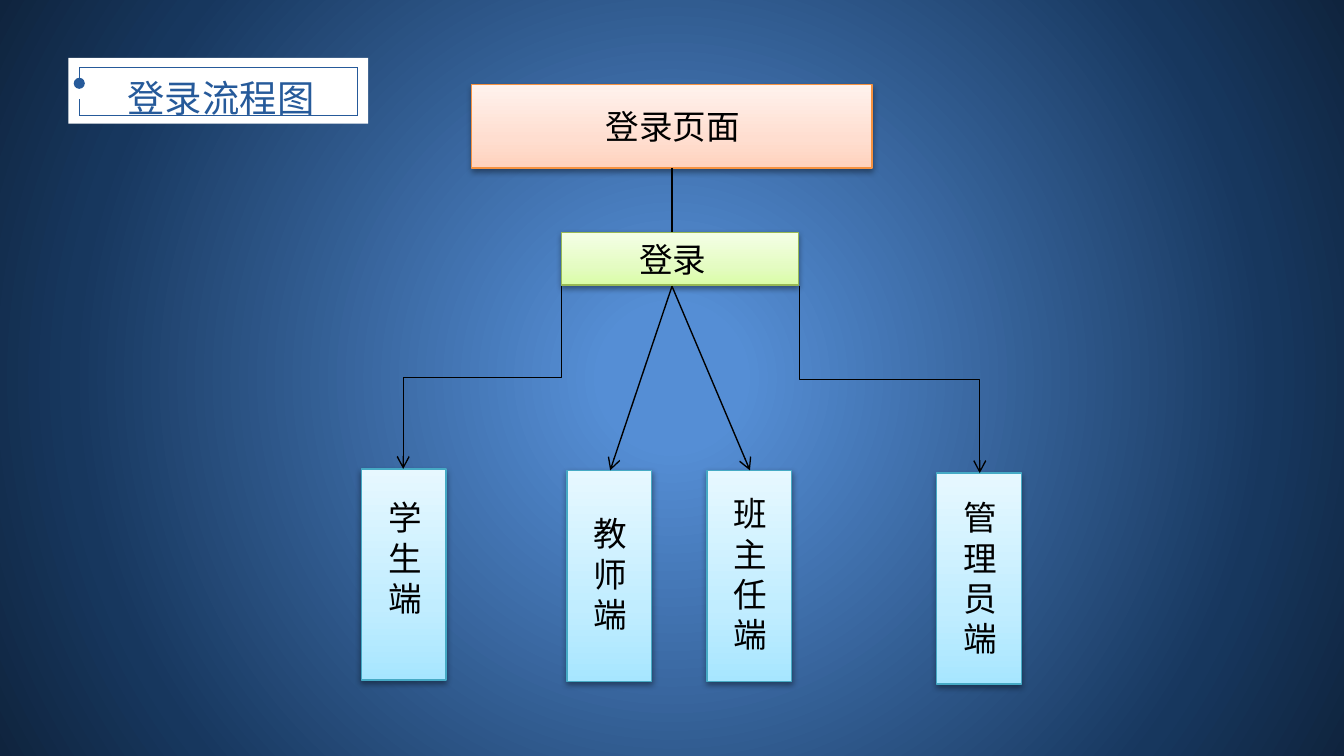
"""Build the login flow chart slide."""
from pptx import Presentation
from pptx.dml.color import RGBColor
from pptx.enum.shapes import MSO_CONNECTOR, MSO_SHAPE
from pptx.enum.text import MSO_AUTO_SIZE, PP_ALIGN
from pptx.oxml import parse_xml
from pptx.oxml.ns import nsdecls, qn
from pptx.util import Inches, Pt

BLACK = RGBColor(0x00, 0x00, 0x00)
WHITE = RGBColor(0xFF, 0xFF, 0xFF)
BLUE = RGBColor(0x26, 0x5A, 0x9A)


def blend(*pairs):
    return [(spot, RGBColor.from_string(tone)) for spot, tone in pairs]


NIGHT = blend((9, "558ED5"), (78, "17375E"), (100, "0F243E"))
PEACH = blend((0, "FFD2BD"), (35, "FFDED0"), (100, "FFF2ED"))
LIME = blend((0, "DAFDA7"), (35, "E4FCC2"), (100, "F5FFE7"))
SKY = blend((0, "A7E6FF"), (35, "C1EDFF"), (100, "E7F8FF"))
ORANGE = RGBColor(0xF6, 0x92, 0x40)
GREEN = RGBColor(0x98, 0xB9, 0x55)
TEAL = RGBColor(0x46, 0xAA, 0xC5)

TITLE = "登录流程图"
STEPS = [
    ("登录页面", (3.51, 0.63, 2.98, 0.62), (3.75, 0.74, 2.51, 0.4), PEACH, ORANGE),
    ("登录", (4.18, 1.73, 1.76, 0.39), (4.54, 1.73, 0.93, 0.4), LIME, GREEN),
]
ROLES = [
    ("学生端", 2.69, 3.49, 3.65, 0.42),
    ("教师端", 4.22, 3.5, 3.77, 0.44),
    ("班主任端", 5.26, 3.5, 3.62, 0.44),
    ("管理员端", 6.97, 3.52, 3.65, 0.44),
]
ROLE_W, ROLE_H = 0.63, 1.57
MID, BASE = 5, 2.13
LINKS = [
    ((MID, 1.25), (MID, 1.73), None),
    ((MID, BASE), (4.54, 3.5), "arrow"),
    ((MID, BASE), (5.58, 3.5), "arrow"),
]
BENDS = [((4.18, BASE), (3, 3.49)), ((5.95, BASE), (7.29, 3.52))]
LEFT, TOP, RIGHT, LOW = 0.59, 0.5, 2.66, 0.86
FRAME = [
    ((LEFT, TOP), (RIGHT, TOP), None),
    ((RIGHT, TOP), (RIGHT, LOW), None),
    ((RIGHT, LOW), (LEFT, LOW), None),
    ((LEFT, TOP), (LEFT, 0.62), "oval"),
    ((LEFT, LOW), (LEFT, 0.74), None),
]
LINEAR = '<a:lin ang="16200000" scaled="1"/>'
ROUND = ('<a:path path="circle"><a:fillToRect l="50000" t="50000" '
         'r="50000" b="50000"/></a:path>')

deck = Presentation()
deck.slide_width = Inches(10)
deck.slide_height = deck.slide_width * 9 // 16
slide = deck.slides.add_slide(deck.slide_layouts[6])


def shade(fill, root, stops, style):
    fill.gradient()
    old = root.find(".//" + qn("a:gradFill"))
    marks = "".join(
        f'<a:gs pos="{spot * 1000}"><a:srgbClr val="{tone}"/></a:gs>'
        for spot, tone in stops)
    new = parse_xml(f'<a:gradFill {nsdecls("a")} rotWithShape="1">'
                    f'<a:gsLst>{marks}</a:gsLst>{style}</a:gradFill>')
    old.getparent().replace(old, new)


def add_box(place):
    box = slide.shapes.add_shape(MSO_SHAPE.RECTANGLE, *map(Inches, place))
    box.shadow.inherit = False
    return box


def add_card(place, stops, edge):
    card = add_box(place)
    shade(card.fill, card.element.spPr, stops, LINEAR)
    card.line.color.rgb = edge
    card.line.width = Pt(0.75)
    card.element.spPr.find(qn("a:effectLst")).append(parse_xml(
        f'<a:outerShdw {nsdecls("a")} blurRad="40000" dist="20000" '
        'dir="5400000" rotWithShape="0"><a:srgbClr val="000000">'
        '<a:alpha val="38000"/></a:srgbClr></a:outerShdw>'))


def add_text(text, place, align=PP_ALIGN.CENTER, size=18, face="Calibri",
             tone=BLACK):
    frame = slide.shapes.add_textbox(*map(Inches, place)).text_frame
    frame.word_wrap = True
    frame.auto_size = MSO_AUTO_SIZE.SHAPE_TO_FIT_TEXT
    para = frame.paragraphs[0]
    para.text = text
    para.alignment = align
    para.font.size = Pt(size)
    para.font.name = face
    para.font.color.rgb = tone
    return para


def add_line(start, end, tip=None, tone=BLACK, width=0.75,
             kind=MSO_CONNECTOR.STRAIGHT):
    line = slide.shapes.add_connector(kind, *map(Inches, (*start, *end)))
    line.line.color.rgb = tone
    line.line.width = Pt(width)
    if tip:
        line.element.spPr.find(qn("a:ln")).append(
            parse_xml(f'<a:tailEnd {nsdecls("a")} type="{tip}"/>'))
    line.element.spPr.append(parse_xml(f'<a:effectLst {nsdecls("a")}/>'))
    return line


def add_bend(start, end):
    (x1, y1), (x2, y2) = start, end
    mid_x, mid_y = (x1 + x2) / 2, (y1 + y2) / 2
    side = 1 if x2 > x1 else -1
    half_w, half_h = side * (y2 - y1) / 2, abs(x2 - x1) / 2
    bend = add_line((mid_x + half_w, mid_y - half_h),
                    (mid_x - half_w, mid_y + half_h),
                    "arrow", kind=MSO_CONNECTOR.ELBOW)
    turn = 270 if side > 0 else 90
    bend.element.spPr.find(qn("a:xfrm")).set("rot", str(turn * 60000))


shade(slide.background.fill, slide.element, NIGHT, ROUND)
for text, place, label, stops, edge in STEPS:
    add_card(place, stops, edge)
    add_text(text, label)
for text, left, top, text_top, width in ROLES:
    add_card((left, top, ROLE_W, ROLE_H), SKY, TEAL)
    height = 0.1 + 0.3 * len(text)
    add_text(text, (left + 0.1, text_top, width, height), PP_ALIGN.LEFT)
for link in LINKS:
    add_line(*link)
for bend in BENDS:
    add_bend(*bend)

plate = add_box((0.51, 0.43, 2.23, 0.49))
plate.fill.solid()
plate.fill.fore_color.rgb = WHITE
plate.line.fill.background()
for edge in FRAME:
    add_line(*edge, BLUE, 0.25)
head = add_text(TITLE, (0.63, 0.34, 2.03, 0.6), size=20,
                face="Noto Sans CJK SC", tone=BLUE)
head.line_spacing = 1.5

deck.save("out.pptx")
